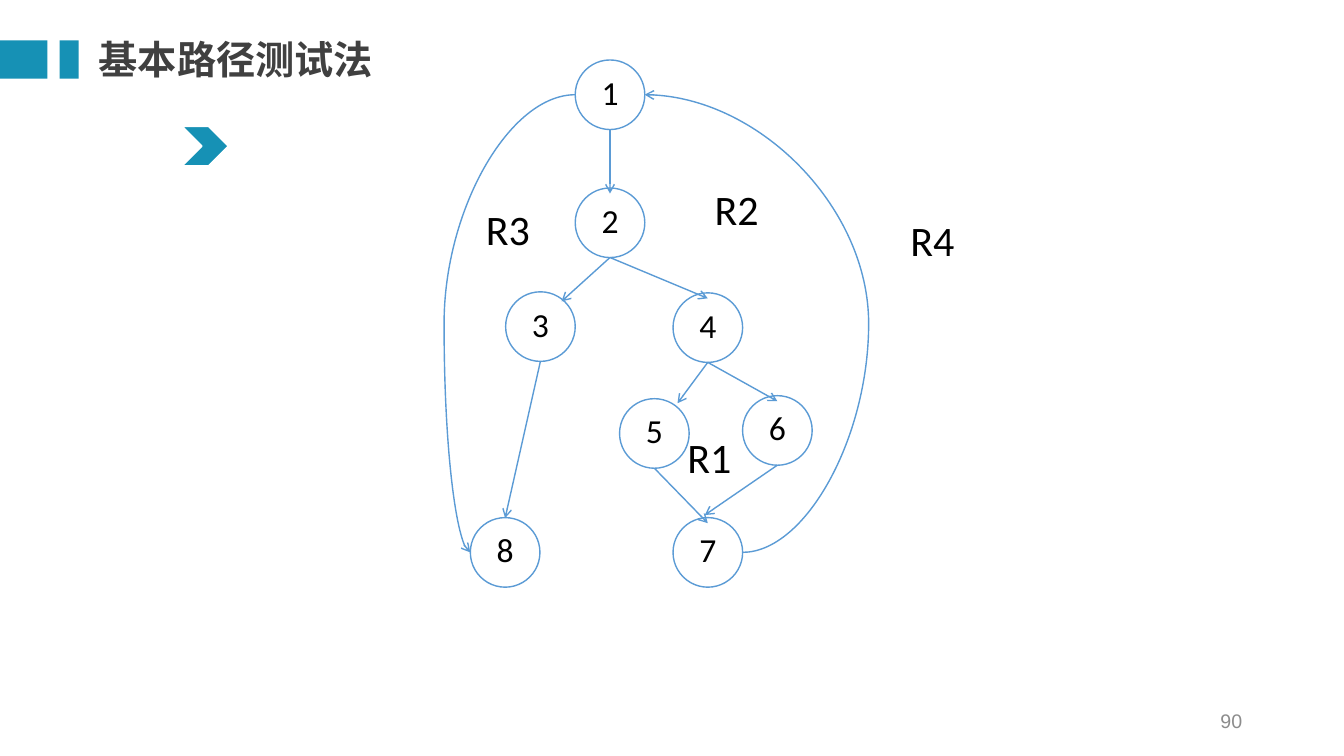
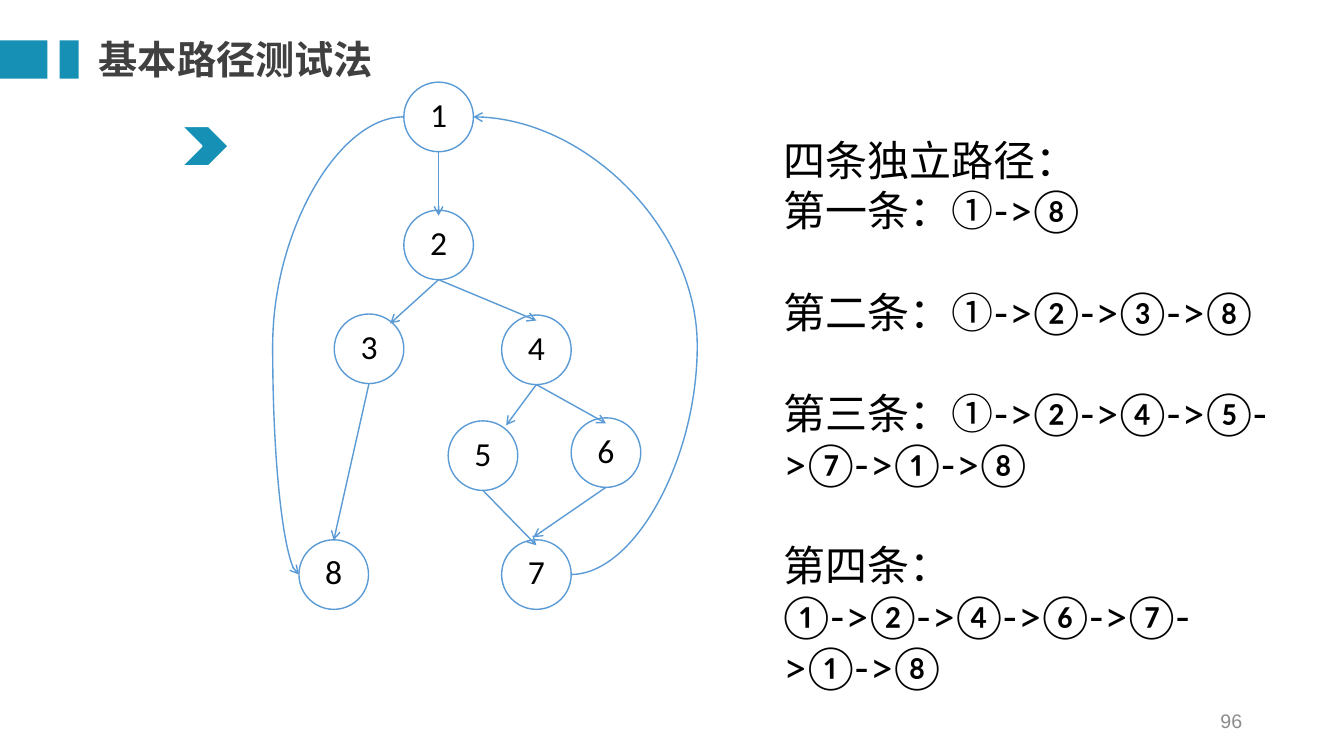
from dataclasses import dataclass

from pptx import Presentation
from pptx.dml.color import RGBColor
from pptx.enum.shapes import MSO_CONNECTOR, MSO_SHAPE
from pptx.enum.text import MSO_ANCHOR, PP_ALIGN
from pptx.oxml.ns import qn
from pptx.util import Inches, Pt
from lxml.etree import SubElement

COLORS = {
    "accent": "1691B5",
    "title": "404040",
    "page": "8C8C8C",
    "graph": "5B9BD5",
    "text": "000000",
    "white": "FFFFFF",
}
CHINESE_FONT = "Noto Sans CJK SC"
RADIUS = 0.345


@dataclass(frozen=True)
class TextStyle:
    size: float
    color: str = "text"
    latin: str = "Calibri"
    bold: bool = False


@dataclass(frozen=True)
class Node:
    x: float  # centre
    y: float


@dataclass(frozen=True)
class Edge:
    source: int
    target: int
    tip_x: float = 0  # arrow tip, measured from the target's centre
    tip_y: float = -0.29


@dataclass(frozen=True)
class LoopEdge:
    source: int
    target: int
    side: int  # -1 joins the left sides, 1 the right sides
    bend: float


@dataclass(frozen=True)
class Region:
    name: str
    left: float
    top: float


@dataclass(frozen=True)
class PathLine:
    heading: str = ""
    route: str = ""
    gap_before: bool = False


TITLE = TextStyle(28, "title", CHINESE_FONT, True)
PAGE = TextStyle(14, "page", "Arial")
NODE_LABEL = TextStyle(24)
REGION_LABEL = TextStyle(30)
HEADING = TextStyle(30, latin=CHINESE_FONT)
ROUTE = TextStyle(30, latin="Lato")
LINE_HEIGHT = Pt(36.2)

NODES = {
    1: Node(6.05, 0.94),
    2: Node(6.05, 2.21),
    3: Node(5.36, 3.24),
    4: Node(7.02, 3.25),
    5: Node(6.49, 4.3),
    6: Node(7.71, 4.27),
    7: Node(7.02, 5.48),
    8: Node(5.01, 5.48),
}
EDGES = [
    Edge(1, 2),
    Edge(2, 3, 0.21, -0.25),
    Edge(2, 4),
    Edge(4, 5, 0.23, -0.3),
    Edge(4, 6),
    Edge(5, 7),
    Edge(6, 7, -0.03, -0.37),
    Edge(3, 8, 0, -0.34),
]
LOOP_EDGES = [LoopEdge(1, 8, -1, 1.25), LoopEdge(7, 1, 1, -1.29)]
REGIONS = [
    Region("R3", 4.72, 1.97),
    Region("R2", 6.99, 1.77),
    Region("R1", 6.72, 4.23),
    Region("R4", 8.93, 2.08),
]
PATH_LINES = [
    PathLine("四条独立路径："),
    PathLine("第一条：", "①->⑧"),
    PathLine("第二条：", "①->②->③->⑧", True),
    PathLine("第三条：", "①->②->④->⑤->⑦->①->⑧", True),
    PathLine("第四条：", gap_before=True),
    PathLine(route="①->②->④->⑥->⑦->①->⑧"),
]


def rgb(name: str) -> RGBColor:
    return RGBColor.from_string(COLORS[name])


def add_run(paragraph, text: str, style: TextStyle) -> None:
    run = paragraph.add_run()
    run.text = text
    run.font.size = Pt(style.size)
    run.font.bold = style.bold
    run.font.name = style.latin
    run.font.color.rgb = rgb(style.color)
    east_asian = SubElement(run.font._element, qn("a:ea"))
    east_asian.set("typeface", CHINESE_FONT)


def add_text_box(slide, left: float, top: float, width: float, height: float):
    box = slide.shapes.add_textbox(Inches(left), Inches(top), Inches(width), Inches(height))
    box.text_frame.word_wrap = True
    return box.text_frame


def add_shape(slide, kind, left: float, top: float, width: float, height: float):
    shape = slide.shapes.add_shape(
        kind, Inches(left), Inches(top), Inches(width), Inches(height))
    shape.shadow.inherit = False
    return shape


def fill_accent(shape) -> None:
    shape.fill.solid()
    shape.fill.fore_color.rgb = rgb("accent")


def set_margins(frame, bottom: float = 0) -> None:
    frame.margin_left = frame.margin_right = frame.margin_top = 0
    frame.margin_bottom = Inches(bottom)


def add_frame(slide, page_number: str) -> None:
    # Title with its two bars
    for left, width in ((0, 0.47), (0.59, 0.19)):
        bar = add_shape(slide, MSO_SHAPE.RECTANGLE, left, 0.4, width, 0.38)
        fill_accent(bar)
        bar.line.fill.background()
    title = add_text_box(slide, 0.98, 0.31, 8.07, 0.55)
    set_margins(title)
    title.vertical_anchor = MSO_ANCHOR.MIDDLE
    add_run(title.paragraphs[0], "基本路径测试法", TITLE)

    # Page number
    page = add_text_box(slide, 9.42, 6.95, 3, 0.4)
    page.vertical_anchor = MSO_ANCHOR.MIDDLE
    page.paragraphs[0].alignment = PP_ALIGN.RIGHT
    add_run(page.paragraphs[0], page_number, PAGE)

    # Chevron marker
    chevron = add_shape(slide, MSO_SHAPE.CHEVRON, 1.8, 1.25, 0.47, 0.4)
    fill_accent(chevron)
    chevron.line.color.rgb = rgb("white")
    chevron.line.width = Pt(1.5)


def add_arrow(slide, kind, start: Node, end: Node):
    connector = slide.shapes.add_connector(
        kind, Inches(start.x), Inches(start.y), Inches(end.x), Inches(end.y))
    connector.line.color.rgb = rgb("graph")
    connector.line.width = Pt(1)
    SubElement(connector.line._get_or_add_ln(), qn("a:tailEnd")).set("type", "arrow")
    SubElement(connector._element.spPr, qn("a:effectLst"))
    return connector


def bend_curve(connector, bend: float) -> None:
    geometry = connector._element.spPr.find(qn("a:prstGeom"))
    adjustments = geometry.find(qn("a:avLst"))
    if adjustments is None:
        adjustments = SubElement(geometry, qn("a:avLst"))
    guide = SubElement(adjustments, qn("a:gd"))
    guide.set("name", "adj1")
    guide.set("fmla", f"val {round(bend * 100000)}")


def add_flow_graph(slide, shift_x: float = 0, shift_y: float = 0) -> None:
    nodes = {number: Node(node.x + shift_x, node.y + shift_y)
             for number, node in NODES.items()}

    # Numbered circles
    for number, node in nodes.items():
        circle = add_shape(slide, MSO_SHAPE.OVAL, node.x - RADIUS, node.y - RADIUS,
                           2 * RADIUS, 2 * RADIUS)
        circle.fill.background()
        circle.line.color.rgb = rgb("graph")
        circle.line.width = Pt(1)
        frame = circle.text_frame
        frame.word_wrap = False
        frame.vertical_anchor = MSO_ANCHOR.MIDDLE
        set_margins(frame, bottom=0.06)
        frame.paragraphs[0].alignment = PP_ALIGN.CENTER
        add_run(frame.paragraphs[0], str(number), NODE_LABEL)

    # Straight edges leave from the bottom of a circle
    for edge in EDGES:
        source, target = nodes[edge.source], nodes[edge.target]
        add_arrow(slide, MSO_CONNECTOR.STRAIGHT, Node(source.x, source.y + RADIUS),
                  Node(target.x + edge.tip_x, target.y + edge.tip_y))

    # Curved edges run around the graph
    for loop in LOOP_EDGES:
        source, target = nodes[loop.source], nodes[loop.target]
        reach = loop.side * RADIUS
        curve = add_arrow(slide, MSO_CONNECTOR.CURVE, Node(source.x + reach, source.y),
                          Node(target.x + reach, target.y))
        bend_curve(curve, loop.bend)


def add_regions(slide) -> None:
    for region in REGIONS:
        frame = add_text_box(slide, region.left, region.top, 0.9, 0.6)
        add_run(frame.paragraphs[0], region.name, REGION_LABEL)


def add_path_list(slide) -> None:
    frame = add_text_box(slide, 7.67, 1.28, 5.03, 5.65)
    for index, line in enumerate(PATH_LINES):
        paragraph = frame.add_paragraph() if index else frame.paragraphs[0]
        paragraph.line_spacing = LINE_HEIGHT
        if line.gap_before:
            paragraph.space_before = LINE_HEIGHT
        for text, style in ((line.heading, HEADING), (line.route, ROUTE)):
            if text:
                add_run(paragraph, text, style)


def main() -> None:
    presentation = Presentation()
    presentation.slide_width = Inches(13.33)
    presentation.slide_height = Inches(7.5)
    blank = presentation.slide_layouts[6]

    # Flow graph with its regions
    region_slide = presentation.slides.add_slide(blank)
    add_frame(region_slide, "90")
    add_flow_graph(region_slide)
    add_regions(region_slide)

    # Flow graph with its independent paths
    path_slide = presentation.slides.add_slide(blank)
    add_frame(path_slide, "96")
    add_flow_graph(path_slide, -1.7, 0.22)
    add_path_list(path_slide)

    presentation.save("out.pptx")


if __name__ == "__main__":
    main()
